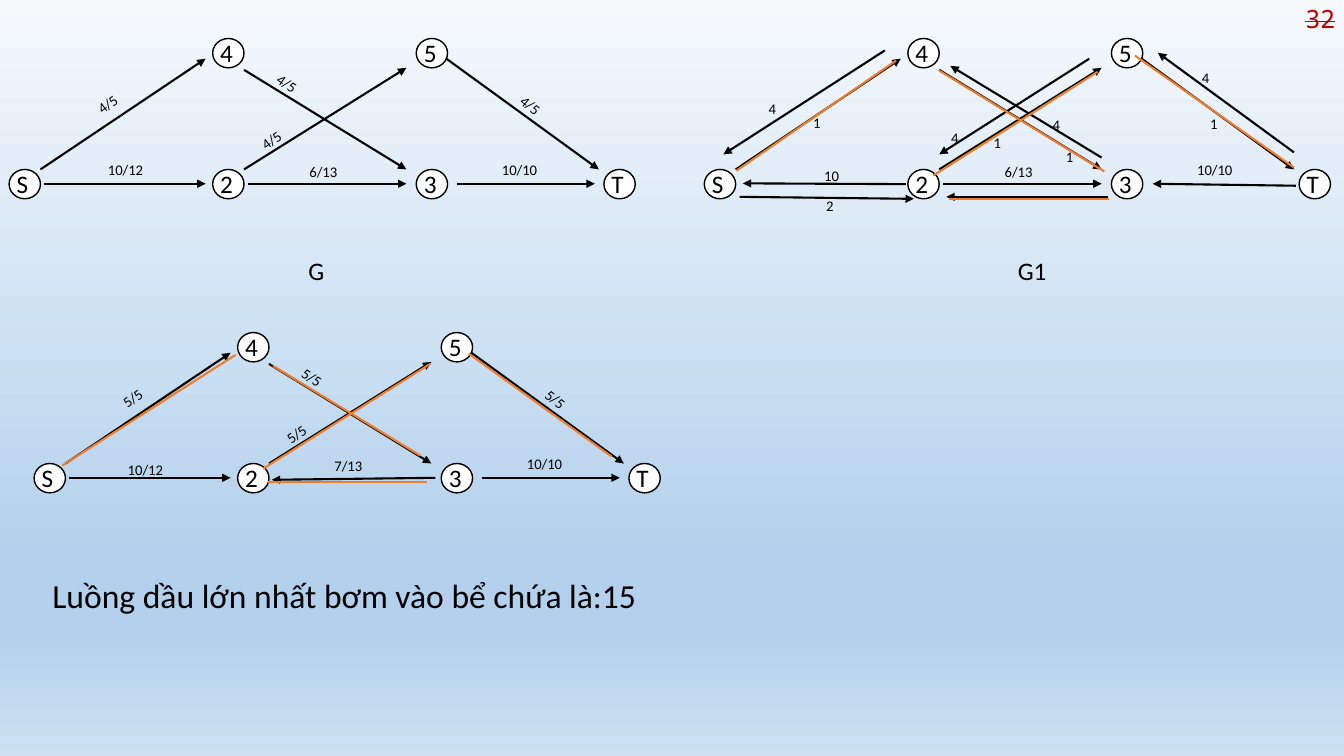
from dataclasses import dataclass

from lxml.etree import SubElement
from pptx import Presentation
from pptx.dml.color import RGBColor
from pptx.enum.shapes import MSO_CONNECTOR, MSO_SHAPE
from pptx.enum.text import PP_ALIGN
from pptx.oxml.ns import qn
from pptx.slide import Slide
from pptx.util import Cm, Pt

COLORS = {"ink": "000000", "node": "FFFFFF", "flow": "ED7D31", "number": "C00000"}
BACKGROUND_STOPS = [(0, "F6F9FC"), (74, "B3D1EC"), (83, "B3D1EC"), (100, "CCE0F2")]
NODE_WIDTH, NODE_HEIGHT = 0.79, 0.74


@dataclass
class Node:
    name: str
    left: float
    top: float


@dataclass
class Edge:
    start: tuple[float, float]
    end: tuple[float, float]


@dataclass
class Label:
    text: str
    left: float
    top: float
    width: float = 1.2
    rotation: float = 0
    size: float = 10.5
    height: float = 0.71
    font: str = "Calibri"
    color: str = "ink"
    struck: bool = False
    alignment: PP_ALIGN = PP_ALIGN.LEFT


@dataclass
class Graph:
    left: float
    top: float
    arrows: list[Edge]
    labels: list[Label]
    augmenting_path: list[Edge]


NODES = [
    Node("S", 0, 3.3), Node("2", 5.13, 3.3), Node("3", 10.26, 3.3),
    Node("T", 14.99, 3.3), Node("4", 5.13, 0), Node("5", 10.26, 0),
]
DIAGONALS = [
    Edge((0.79, 3.3), (4.95, 0.51)),
    Edge((5.92, 0.79), (10.01, 3.3)),
    Edge((11.02, 0.51), (14.86, 3.3)),
    Edge((5.92, 3.3), (10.01, 0.74)),
]
S_TO_2 = Edge((0.89, 3.66), (4.95, 3.66))
TWO_TO_3 = Edge((6.02, 3.66), (10.01, 3.66))
THREE_TO_T = Edge((11.28, 3.66), (14.76, 3.66))


def diagonal_labels(text: str) -> list[Label]:
    return [
        Label(text, 1.93, 1.17, 1.47, -36.2),
        Label(text, 6.43, 0.99, 1.75, 34.6),
        Label(text, 6.07, 2.11, 1.35, -35.8),
        Label(text, 12.55, 1.55, 1.7, 39.7),
    ]


def base_labels(middle: str) -> list[Label]:
    return [Label(middle, 7.32, 3, 1.73), Label("10/10", 12.17, 2.95, 1.7)]


GRAPHS = [
    Graph(
        0.23, 0.97,
        DIAGONALS + [S_TO_2, TWO_TO_3, THREE_TO_T],
        diagonal_labels("4/5") + base_labels("6/13") + [Label("10/12", 2.24, 2.95, 1.88)],
        [],
    ),
    Graph(
        17.75, 0.97,
        DIAGONALS + [
            TWO_TO_3,
            Edge((14.91, 3.71), (11.3, 3.66)),
            Edge((5.08, 3.67), (0.97, 3.65)),
            Edge((10.16, 3.99), (6.1, 3.99)),
            Edge((4.55, 0.3), (0.48, 2.92)),
            Edge((9.7, 0.51), (5.92, 2.92)),
            Edge((10.01, 3), (6.2, 0.69)),
            Edge((14.86, 2.87), (11.43, 0.36)),
            Edge((0.89, 3.99), (5.28, 4.04)),
        ],
        base_labels("6/13") + [
            Label("4", 1.37, 1.42), Label("1", 2.49, 1.78), Label("10", 2.77, 3.1),
            Label("4", 5.97, 2.16), Label("1", 7.04, 2.29), Label("1", 8.86, 2.64),
            Label("4", 8.53, 1.83), Label("1", 12.5, 1.8), Label("4", 12.29, 0.64),
            Label("2", 2.82, 3.86),
        ],
        [
            Edge((0.81, 3.33), (4.83, 0.56)),
            Edge((5.92, 0.81), (10.08, 3.35)),
            Edge((10.21, 4.04), (6.17, 4.04)),
            Edge((5.77, 3.45), (9.91, 0.84)),
            Edge((10.85, 0.43), (14.86, 3.25)),
        ],
    ),
    Graph(
        0.86, 8.38,
        DIAGONALS + [S_TO_2, THREE_TO_T, Edge((10.11, 3.66), (5.99, 3.71))],
        diagonal_labels("5/5") + base_labels("7/13") + [Label("10/12", 2.11, 3.1, 1.88)],
        [
            Edge((0.71, 3.35), (5.08, 0.56)),
            Edge((6.02, 0.84), (9.73, 3.1)),
            Edge((9.91, 3.76), (5.89, 3.76)),
            Edge((5.77, 3.43), (9.98, 0.79)),
            Edge((10.95, 0.53), (14.55, 3.12)),
        ],
    ),
]
SLIDE_NUMBER = {"size": 18, "height": 1.02, "font": "Noto Sans Mono", "color": "number", "struck": True}
SLIDE_LABELS = [
    Label("G", 7.52, 6.32, 2.8, size=18, height=1.02),
    Label("G1", 25.4, 6.32, 2.36, size=18, height=1.02),
    Label("Luồng dầu lớn nhất bơm vào bể chứa là:15", 1.07, 14.48, 17.65, size=24, height=2.26),
    Label("3", 32.23, -0.03, 1.3, alignment=PP_ALIGN.RIGHT, **SLIDE_NUMBER),
    Label("2", 33.02, -0.03, 2.54, **SLIDE_NUMBER),
]


def color(name: str) -> RGBColor:
    return RGBColor.from_string(COLORS[name])


def paint_background(slide: Slide) -> None:
    fill = slide.background.fill
    fill.gradient()
    fill.gradient_angle = 270
    stops = slide._element.find(".//" + qn("a:gsLst"))
    for stop in list(stops):
        stops.remove(stop)
    for position, hex_color in BACKGROUND_STOPS:
        stop = SubElement(stops, qn("a:gs"), pos=str(position * 1000))
        SubElement(stop, qn("a:srgbClr"), val=hex_color)


def draw_label(slide: Slide, label: Label, left: float = 0, top: float = 0) -> None:
    shape = slide.shapes.add_textbox(
        Cm(left + label.left), Cm(top + label.top), Cm(label.width), Cm(label.height))
    shape.rotation = label.rotation
    shape.text_frame.word_wrap = True
    shape.text_frame.text = label.text
    paragraph = shape.text_frame.paragraphs[0]
    paragraph.alignment = label.alignment
    if label.size == 24:
        paragraph.line_spacing = 0.9
    font = paragraph.runs[0].font
    font.name = label.font
    font.size = Pt(label.size)
    font.color.rgb = color(label.color)
    if label.struck:
        font._element.set("strike", "sngStrike")


def draw_node(slide: Slide, node: Node, left: float, top: float) -> None:
    shape = slide.shapes.add_shape(
        MSO_SHAPE.FLOWCHART_CONNECTOR,
        Cm(left + node.left), Cm(top + node.top), Cm(NODE_WIDTH), Cm(NODE_HEIGHT))
    shape.shadow.inherit = False
    shape.fill.solid()
    shape.fill.fore_color.rgb = color("node")
    shape.line.color.rgb = color("ink")
    shape.line.width = Pt(1)


def draw_edge(slide: Slide, edge: Edge, left: float, top: float, line_color: str, arrow: bool) -> None:
    (start_x, start_y), (end_x, end_y) = edge.start, edge.end
    connector = slide.shapes.add_connector(
        MSO_CONNECTOR.STRAIGHT,
        Cm(left + start_x), Cm(top + start_y), Cm(left + end_x), Cm(top + end_y))
    connector.line.color.rgb = color(line_color)
    connector.line.width = Pt(1.5)
    if arrow:
        SubElement(connector.line._get_or_add_ln(), qn("a:tailEnd"), type="triangle")
    SubElement(connector._element.spPr, qn("a:effectLst"))


def draw_graph(slide: Slide, graph: Graph) -> None:
    for node in NODES:
        draw_node(slide, node, graph.left, graph.top)
    for edge in graph.arrows:
        draw_edge(slide, edge, graph.left, graph.top, "ink", True)
    names = [Label(node.name, node.left - 0.06, node.top - 0.15, size=18, height=1.02) for node in NODES]
    for label in names + graph.labels:
        draw_label(slide, label, graph.left, graph.top)
    for edge in graph.augmenting_path:
        draw_edge(slide, edge, graph.left, graph.top, "flow", False)


def main() -> None:
    presentation = Presentation()
    presentation.slide_width, presentation.slide_height = Cm(33.87), Cm(19.05)
    slide = presentation.slides.add_slide(presentation.slide_layouts[6])
    paint_background(slide)
    for graph in GRAPHS:
        draw_graph(slide, graph)
    for label in SLIDE_LABELS:
        draw_label(slide, label)
    presentation.save("out.pptx")


if __name__ == "__main__":
    main()
